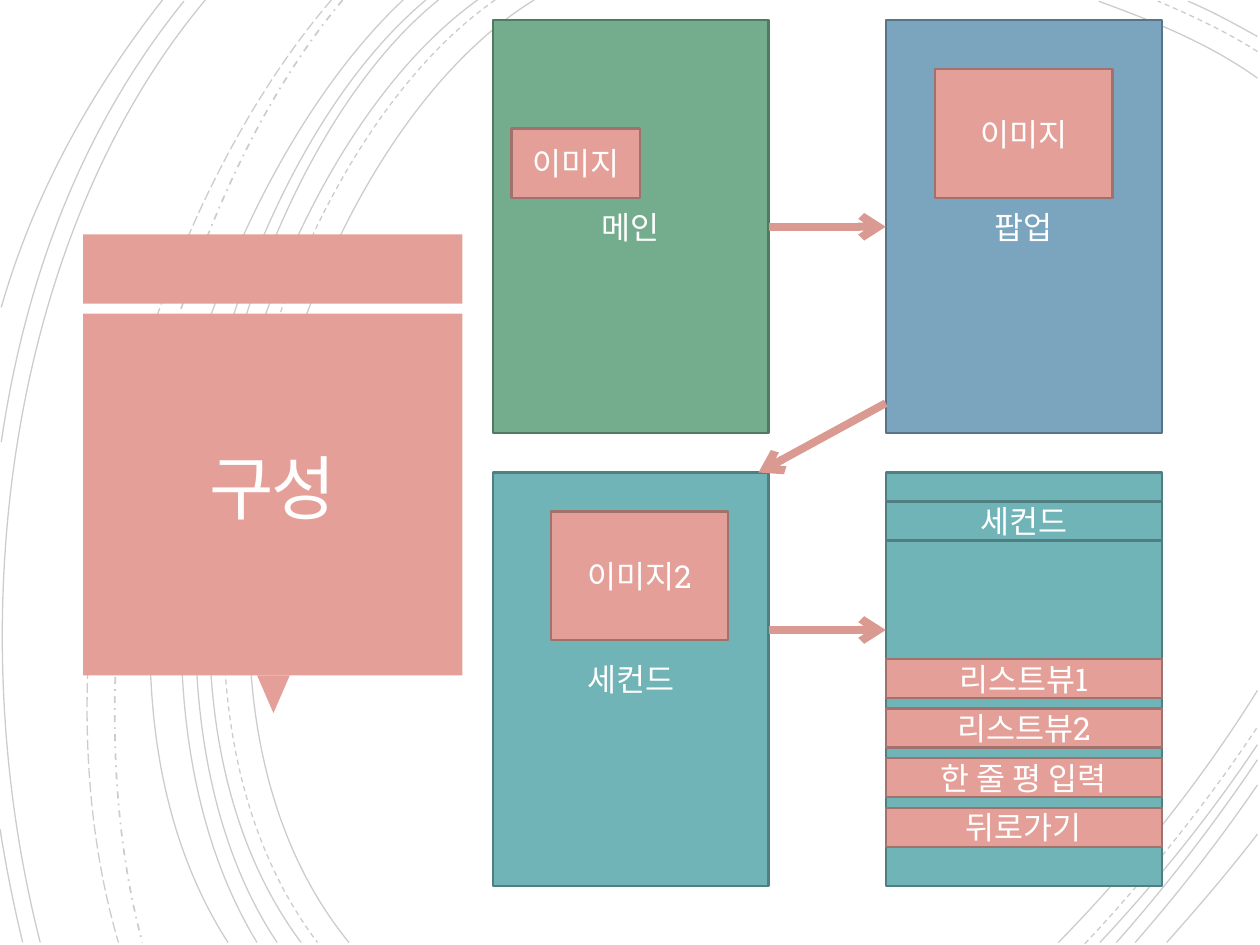
from lxml.etree import SubElement
from pptx import Presentation
from pptx.dml.color import RGBColor
from pptx.enum.dml import MSO_LINE_DASH_STYLE as Dash
from pptx.enum.shapes import MSO_CONNECTOR as Connector, MSO_SHAPE as Shape
from pptx.enum.text import MSO_ANCHOR as Anchor, PP_ALIGN as Align
from pptx.oxml.ns import qn
from pptx.util import Cm, Pt

COLORS = {
    "pink": "E4A098", "pink_edge": "A1716B", "arrow": "DA9991",
    "green": "74AD8D", "green_edge": "527A63",
    "blue": "7BA5BE", "blue_edge": "577587",
    "teal": "70B4B7", "teal_edge": "4F7F81",
    "white": "FFFFFF", "title": "FFFEFF", "arc": "000000",
}
BODY_FONT, TITLE_FONT = "Roboto Slab", "Noto Sans CJK KR"

# Layout measures are in inches; span() turns them into Cm.
PANEL_W, PANEL_H = 2.19, 3.28
LEFT, RIGHT, TOP, BOTTOM = 3.91, 7.03, 0.16, 3.75
ROW_H, FIRST_ROW, LAST_ROW = 0.31, 5.23, 6.41

PANELS = [  # name, text, left, top, colour
    ("main", "메인", LEFT, TOP, "green"),
    ("popup", "팝업", RIGHT, TOP, "blue"),
    ("second", "세컨드", LEFT, BOTTOM, "teal"),
    ("list", "", RIGHT, BOTTOM, "teal"),
]
LIST_ROWS = ["리스트뷰1", "리스트뷰2", "한 줄 평 입력", "뒤로가기"]
IMAGES = [  # text, left, top, width, height
    ("이미지", 4.06, 1.02, 1.02, 0.55),
    ("이미지", 7.42, 0.55, 1.41, 1.02),
    ("이미지2", 4.37, 4.06, 1.41, 1.02),
]

# Background arcs by dash: start, two control points, end
ARCS = {
    Dash.SOLID: [
        (4.24, 0, 2.36, 1.15, 1.07, 5.4, 2.77, 7.48),
        (3.79, 0, 2.02, 1.27, 0.82, 5.37, 2.39, 7.48),
        (3.48, 0, 1.83, 1.33, 0.82, 5.41, 2.2, 7.48),
        (3.38, 0, 1.73, 1.38, 0.73, 5.33, 2.04, 7.48),
        (3.2, 0, 1.63, 1.47, 0.4, 5.29, 1.81, 7.48),
        (1.63, 0, 0.08, 1.85, -0.34, 4.9, 0.32, 7.48),
        (1.46, 0.01, 0.69, 0.96, 0.21, 2.14, 0.01, 3.51),
        (1.29, 0, 0.75, 0.69, 0.28, 1.5, 0.01, 2.44),
        (0, 6.58, 0.05, 6.89, 0.11, 7.19, 0.18, 7.48),
        (9.98, 0.62, 9.59, 0.34, 9.13, 0.16, 8.72, 0.01),
        (9.98, 0.29, 9.8, 0.19, 9.62, 0.09, 9.43, 0.01),
        (8.4, 7.48, 8.97, 6.9, 9.52, 6.22, 9.98, 5.48),
        (8.73, 7.48, 9.17, 7.01, 9.6, 6.48, 9.98, 5.91),
        (8.86, 7.48, 9.25, 7.04, 9.63, 6.55, 9.98, 6.03),
        (9.01, 7.48, 9.35, 7.09, 9.68, 6.67, 9.98, 6.23),
        (9.26, 7.48, 9.5, 7.21, 9.75, 6.92, 9.98, 6.62),
    ],
    Dash.DASH: [
        (3.93, 0, 2.13, 1.25, 0.92, 5.37, 2.52, 7.48),
        (9.98, 0.41, 9.73, 0.25, 9.45, 0.12, 9.19, 0.01),
        (8.61, 7.49, 9.09, 6.98, 9.56, 6.4, 9.98, 5.77),
    ],
    Dash.DASH_DOT: [(2.72, 0, 1.32, 1.66, 0.49, 5.09, 1.13, 7.48)],
    Dash.LONG_DASH: [(2.63, 0, 1.18, 1.69, 0.21, 4.99, 0.94, 7.48)],
}


def span(inches):
    return Cm(inches * 2.54)


def rgb(name):
    return RGBColor.from_string(COLORS[name])


def write(shape, text, font, size, color):
    shape.text_frame.word_wrap = True
    shape.text_frame.vertical_anchor = Anchor.MIDDLE
    para = shape.text_frame.paragraphs[0]
    para.alignment = Align.CENTER
    para.add_run().text = text
    para.font.name, para.font.size = font, Pt(size)
    para.font.color.rgb = rgb(color)
    return para


def add_box(page, left, top, width, height, color, text="", edge=True, kind=Shape.RECTANGLE):
    box = page.shapes.add_shape(kind, *map(span, (left, top, width, height)))
    box.shadow.inherit = False
    box.fill.solid()
    box.fill.fore_color.rgb = rgb(color)
    if edge:
        box.line.color.rgb = rgb(color + "_edge")
        box.line.width = Pt(1.25)
    else:
        box.line.fill.background()
    if text:
        write(box, text, BODY_FONT, 18, "white")
    return box


def add_arc(page, arc, dash):
    start, *others = zip(map(span, arc[::2]), map(span, arc[1::2]))
    builder = page.shapes.build_freeform(*start)
    builder.add_line_segments(others, close=False)
    curve = builder.convert_to_shape()

    # Join the three segments into one Bezier curve
    outline = curve._element.find(".//" + qn("a:path"))
    bezier = SubElement(outline, qn("a:cubicBezTo"))
    for segment in outline.findall(qn("a:lnTo")):
        bezier.append(segment[0])
        outline.remove(segment)

    curve.shadow.inherit = False
    curve.fill.background()
    curve.line.color.rgb = rgb("arc")
    curve.line.width = Pt(1 if dash == Dash.DASH_DOT else 0.75)
    curve.line.dash_style = dash
    color = curve.line._get_or_add_ln().find(".//" + qn("a:srgbClr"))
    SubElement(color, qn("a:alpha"), val="20000")


def add_arrow(page, start, end):
    arrow = page.shapes.add_connector(Connector.STRAIGHT, *map(span, start + end))
    arrow.line.color.rgb = rgb("arrow")
    arrow.line.width = Pt(4.5)
    SubElement(arrow.line._get_or_add_ln(), qn("a:tailEnd"), type="arrow")
    SubElement(arrow._element.spPr, qn("a:effectLst"))
    return arrow


def main():
    deck = Presentation()
    deck.slide_width, deck.slide_height = span(10), span(7.5)
    page = deck.slides.add_slide(deck.slide_layouts[6])

    # Background arcs
    for dash, arcs in ARCS.items():
        for arc in arcs:
            add_arc(page, arc, dash)

    # Title block
    add_box(page, 0.66, 1.86, 3.01, 0.55, "pink", edge=False)
    pointer = add_box(page, 2.04, 5.36, 0.26, 0.3, "pink", edge=False, kind=Shape.ISOSCELES_TRIANGLE)
    pointer.rotation = 180
    add_box(page, 0.66, 2.49, 3.01, 2.87, "pink", edge=False)
    title = page.shapes.add_textbox(*map(span, (0.73, 2.57, 2.87, 2.69)))
    frame = title.text_frame
    frame.margin_left = frame.margin_right = frame.margin_top = frame.margin_bottom = span(0.25)
    para = write(title, "구성", TITLE_FONT, 40, "title")
    para.line_spacing = 0.85
    para.runs[0].font._element.set("spc", "-150")

    # Screens
    panels = {name: add_box(page, left, top, PANEL_W, PANEL_H, color, text)
              for name, text, left, top, color in PANELS}

    # Rows of the list screen
    add_box(page, RIGHT, 3.98, PANEL_W, ROW_H, "teal", "세컨드")
    step = (LAST_ROW - FIRST_ROW) / (len(LIST_ROWS) - 1)
    for index, text in enumerate(LIST_ROWS):
        add_box(page, RIGHT, FIRST_ROW + index * step, PANEL_W, ROW_H, "pink", text)

    # Image boxes
    for text, *place in IMAGES:
        add_box(page, *place, "pink", text)

    # Flow between the screens
    edge, middle = LEFT + PANEL_W, TOP + PANEL_H / 2
    flow = add_arrow(page, (edge, middle), (RIGHT, middle))
    flow.begin_connect(panels["main"], 3)
    flow.end_connect(panels["popup"], 1)
    add_arrow(page, (RIGHT, 3.2), (6.02, BOTTOM))
    add_arrow(page, (edge, 5), (RIGHT, 5))

    deck.save("out.pptx")


if __name__ == "__main__":
    main()
